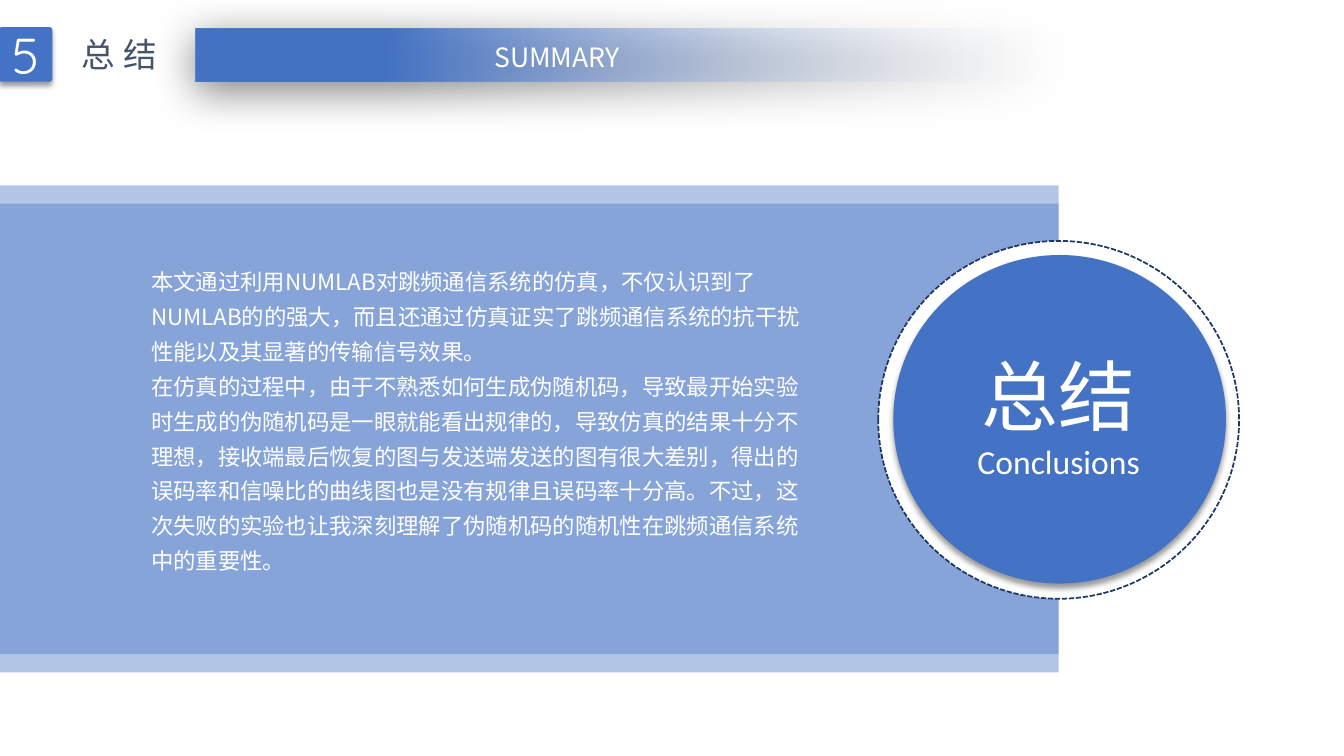
from dataclasses import dataclass
from typing import Any, Optional

import lxml.etree
import pptx
import pptx.dml.color
import pptx.enum.dml
import pptx.enum.shapes
import pptx.enum.text
import pptx.oxml.ns
import pptx.util

Inches = pptx.util.Inches
Pt = pptx.util.Pt
Geometry = pptx.enum.shapes.MSO_SHAPE
Align = pptx.enum.text.PP_ALIGN
Anchor = pptx.enum.text.MSO_ANCHOR
qn = pptx.oxml.ns.qn


@dataclass(frozen=True)
class Theme:
    blue: str = "4472C4"
    navy: str = "203864"
    slate: str = "44546A"
    mist: str = "F7FAFD"
    white: str = "FFFFFF"
    black: str = "000000"
    chinese: str = "Noto Sans CJK SC"
    latin: str = "Calibri"
    numeral: str = "Quicksand"
    hero_size: int = 55
    number_size: int = 36
    heading_size: int = 24
    banner_size: int = 19
    body_size: int = 16


THEME = Theme()


@dataclass(frozen=True)
class Box:
    left: float
    top: float
    width: float
    height: float

    def lengths(self) -> tuple:
        return tuple(Inches(v) for v in (self.left, self.top, self.width, self.height))


@dataclass(frozen=True)
class Shadow:
    opacity: int
    blur: float
    distance: float
    angle: int


@dataclass(frozen=True)
class Block:
    box: Box
    geometry: Any
    color: str = THEME.blue
    opacity: int = 100
    corner: Optional[float] = None
    dashed: bool = False
    shadow: Optional[Shadow] = None


SOFT = Shadow(40, 4, 3, 90)
WIDE = Shadow(50, 31, 6, 97)
PANELS = [
    Block(Box(0, top, 10.5, 4.65), Geometry.ROUNDED_RECTANGLE, opacity=40, corner=0)
    for top in (2.02, 1.84)
]
DISCS = [
    Block(Box(8.71, 2.39, 3.58, 3.55), Geometry.OVAL, THEME.white, dashed=True),
    Block(Box(8.86, 2.53, 3.3, 3.26), Geometry.OVAL, shadow=SOFT),
]
BANNER = Block(Box(1.94, 0.28, 8.57, 0.53), Geometry.RECTANGLE, shadow=WIDE)
BADGE = Block(Box(-0.01, 0.27, 0.53, 0.54), Geometry.ROUNDED_RECTANGLE, corner=0.05, shadow=SOFT)

FINDINGS = (
    "本文通过利用NUMLAB对跳频通信系统的仿真，不仅认识到了NUMLAB的的强大，"
    "而且还通过仿真证实了跳频通信系统的抗干扰性能以及其显著的传输信号效果。"
)
LESSONS = (
    "在仿真的过程中，由于不熟悉如何生成伪随机码，导致最开始实验时生成的伪随机码是一眼就能看出规律的，"
    "导致仿真的结果十分不理想，接收端最后恢复的图与发送端发送的图有很大差别，"
    "得出的误码率和信噪比的曲线图也是没有规律且误码率十分高。"
    "不过，这次失败的实验也让我深刻理解了伪随机码的随机性在跳频通信系统中的重要性。"
)


def rgb(color: str) -> pptx.dml.color.RGBColor:
    return pptx.dml.color.RGBColor.from_string(color)


def set_opacity(color: Any, percent: int) -> None:
    lxml.etree.SubElement(color, qn("a:alpha")).set("val", str(percent * 1000))


def cast_shadow(shape: Any, shadow: Shadow) -> None:
    effects = shape.element.spPr.find(qn("a:effectLst"))
    outer = lxml.etree.SubElement(effects, qn("a:outerShdw"))
    outer.set("blurRad", str(int(Pt(shadow.blur))))
    outer.set("dist", str(int(Pt(shadow.distance))))
    outer.set("dir", str(shadow.angle * 60000))
    outer.set("algn", "t")
    outer.set("rotWithShape", "0")
    color = lxml.etree.SubElement(outer, qn("a:srgbClr"))
    color.set("val", THEME.black)
    set_opacity(color, shadow.opacity)


def draw_block(shapes: Any, block: Block) -> Any:
    shape = shapes.add_shape(block.geometry, *block.box.lengths())
    shape.shadow.inherit = False
    shape.fill.solid()
    shape.fill.fore_color.rgb = rgb(block.color)
    if block.opacity < 100:
        set_opacity(shape.element.spPr.find(".//" + qn("a:srgbClr")), block.opacity)
    if block.corner is not None:
        shape.adjustments[0] = block.corner
    if block.dashed:
        shape.line.color.rgb = rgb(THEME.navy)
        shape.line.width = Pt(1.25)
        shape.line.dash_style = pptx.enum.dml.MSO_LINE.SQUARE_DOT
    else:
        shape.line.fill.background()
    if block.shadow:
        cast_shadow(shape, block.shadow)
    return shape


def fade_banner(banner: Any) -> None:
    banner.fill.gradient()
    banner.fill.gradient_angle = 180
    clear, full = banner.fill.gradient_stops
    clear.position, full.position = 0, 0.78
    clear.color.rgb, full.color.rgb = rgb(THEME.mist), rgb(THEME.blue)
    set_opacity(banner.element.spPr.find(".//" + qn("a:srgbClr")), 0)


def write(
    paragraph: Any,
    text: str,
    *,
    size: int,
    font: str = THEME.chinese,
    color: str = THEME.white,
    align: Any = Align.LEFT,
    line_spacing: Optional[float] = None,
    tracking: int = 0,
) -> None:
    paragraph.alignment = align
    if line_spacing:
        paragraph.line_spacing = line_spacing
    run = paragraph.add_run()
    run.text = text
    run.font.size = Pt(size)
    run.font.name = font
    run.font.color.rgb = rgb(color)
    properties = run.font._element
    lxml.etree.SubElement(properties, qn("a:ea")).set("typeface", font)
    if tracking:
        properties.set("spc", str(tracking * 100))


def open_text(shapes: Any, box: Box, wrap: bool = True, inset: bool = True) -> Any:
    frame = shapes.add_textbox(*box.lengths()).text_frame
    frame.word_wrap = wrap
    frame.auto_size = pptx.enum.text.MSO_AUTO_SIZE.SHAPE_TO_FIT_TEXT
    frame.margin_left = frame.margin_right = Inches(0.1 if inset else 0)
    frame.margin_top = frame.margin_bottom = Inches(0.05 if inset else 0)
    return frame


def main() -> None:
    deck = pptx.Presentation()
    deck.slide_width, deck.slide_height = Inches(13.33), Inches(7.5)
    shapes = deck.slides.add_slide(deck.slide_layouts[6]).shapes

    for panel in PANELS:
        draw_block(shapes, panel)

    emblem = shapes.add_group_shape().shapes
    for disc in DISCS:
        draw_block(emblem, disc)
    conclusion = open_text(emblem, Box(9.48, 3.46, 2.04, 1.43), inset=False)
    write(conclusion.paragraphs[0], "总结", size=THEME.hero_size, align=Align.CENTER)
    write(conclusion.add_paragraph(), "Conclusions", size=THEME.heading_size,
          font=THEME.latin, align=Align.CENTER)

    body = open_text(shapes, Box(1.4, 2.53, 6.67, 3.22))
    write(body.paragraphs[0], FINDINGS, size=THEME.body_size, line_spacing=1.3)
    write(body.add_paragraph(), LESSONS, size=THEME.body_size, line_spacing=1.3)

    fade_banner(draw_block(shapes, BANNER))
    number = draw_block(shapes, BADGE).text_frame
    number.vertical_anchor = Anchor.MIDDLE
    write(number.paragraphs[0], "5", size=THEME.number_size, font=THEME.numeral,
          align=Align.CENTER)

    heading = open_text(shapes, Box(0.71, 0.29, 1.04, 0.5), wrap=False)
    write(heading.paragraphs[0], "总结", size=THEME.heading_size, color=THEME.slate, tracking=6)
    summary = open_text(shapes, Box(4.73, 0.36, 1.59, 0.42), wrap=False)
    write(summary.paragraphs[0], "SUMMARY", size=THEME.banner_size, align=Align.CENTER)

    deck.save("out.pptx")


if __name__ == "__main__":
    main()
